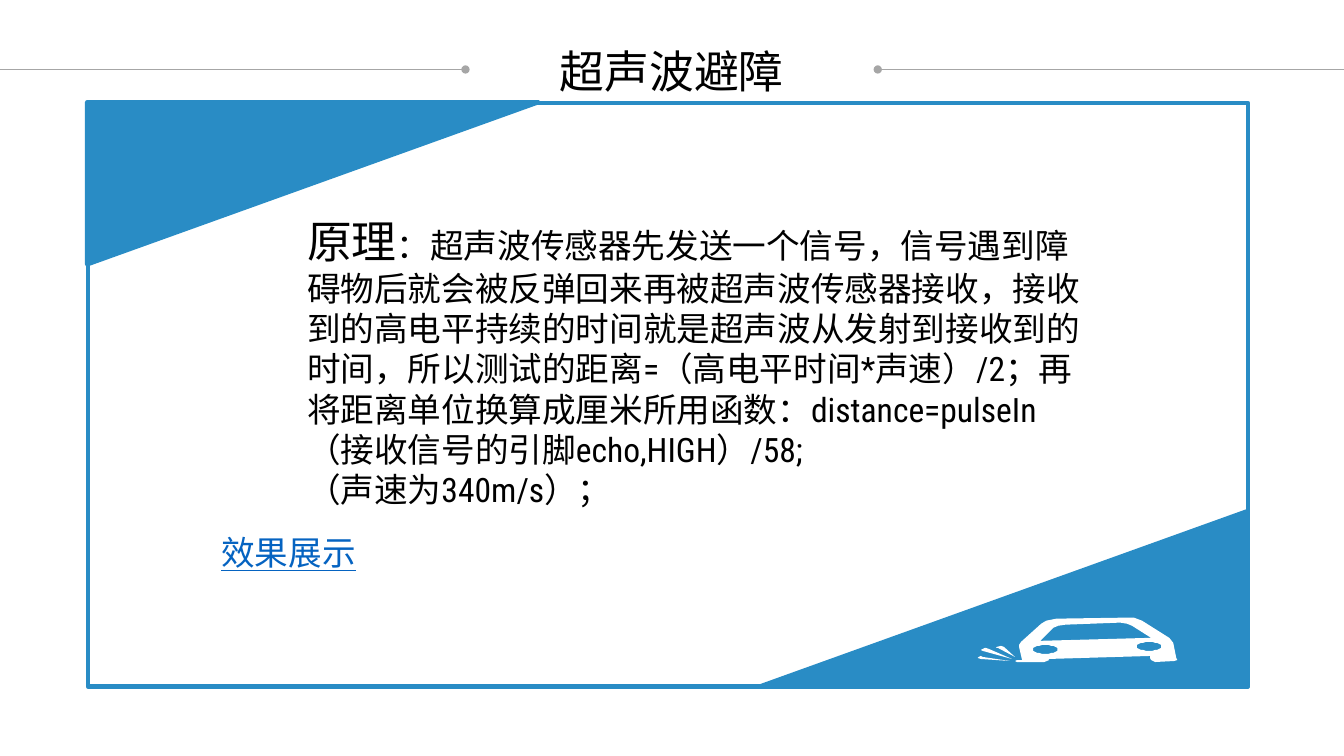
from math import cos, pi, sin

from pptx import Presentation
from pptx.dml.color import RGBColor
from pptx.enum.shapes import MSO_CONNECTOR as CONNECTOR, MSO_SHAPE as SHAPE
from pptx.enum.text import MSO_AUTO_SIZE as AUTO_SIZE, PP_ALIGN as ALIGN
from pptx.oxml.ns import qn
from pptx.util import Cm, Pt
from lxml.etree import SubElement

COLORS = {"blue": "298CC5", "grey": "A6A6A6", "black": "000000", "link": "0563C1", "white": "FFFFFF"}
FONT = "Roboto Condensed"
HEADING, BODY = 32, 24

PRINCIPLE = [
    ("原理", HEADING),
    ("：超声波传感器先发送一个信号，信号遇到障碍物后就会被反弹回来再被超声波传感器接收，"
     "接收到的高电平持续的时间就是超声波从发射到接收到的时间，"
     "所以测试的距离=（高电平时间*声速）/2；再将距离单位换算成厘米所用函数："
     "distance=pulseIn（接收信号的引脚echo,HIGH）/58;\v（声速为340m/s）；", BODY),
]


def ellipse(x, y, radius_x, radius_y, steps=24):
    angles = [2 * pi * step / steps for step in range(steps)]
    return [(x + radius_x * cos(angle), y + radius_y * sin(angle)) for angle in angles]


CAR_BODY = [
    (195, 44), (176, 45), (172, 43), (171, 41), (171, 39), (70, 42), (71, 43), (66, 45),
    (39, 45), (37, 44), (39, 43), (44, 43), (41, 30), (41, 28), (43, 25), (63, 7), (68, 4),
    (78, 2), (145, 1), (155, 1), (163, 4), (190, 21), (194, 26), (197, 41), (198, 43),
]
CAR_WINDOW = [(62, 24), (172, 21), (153, 9), (148, 7), (142, 6), (139, 6), (87, 8), (80, 9), (75, 11)]
CAR_WHEELS = [ellipse(67, 32.5, 12, 4.5), ellipse(170, 29.5, 12, 4.5)]
CAR_STREAKS = [
    [(5, 40), (32, 44), (3, 42), (0, 41), (1, 40), (3, 39)],
    [(37, 40), (26, 30), (23, 29), (19, 30), (18, 31), (20, 31)],
    [(8, 31), (7, 31), (3, 33), (5, 34), (34, 42), (11, 32)],
]


class SlideBuilder:
    """Draws styled elements on the current slide."""

    def __init__(self, page):
        self.page = page

    def color(self, name):
        return RGBColor.from_string(COLORS[name])

    def dotted_line(self, start, end, y, dot):
        line = self.page.shapes.add_connector(CONNECTOR.STRAIGHT, Cm(start), Cm(y), Cm(end), Cm(y))
        line.line.color.rgb = self.color("grey")
        line.line.width = Pt(0.5)
        SubElement(line.line._get_or_add_ln(), qn(f"a:{dot}")).set("type", "oval")
        SubElement(line._element.spPr, qn("a:effectLst"))

    def text(self, place, runs, color="black", align=ALIGN.LEFT, wrap=True, underline=None):
        box = self.page.shapes.add_textbox(*map(Cm, place))
        frame = box.text_frame
        frame.word_wrap = wrap
        frame.auto_size = AUTO_SIZE.SHAPE_TO_FIT_TEXT
        para = frame.paragraphs[0]
        para.alignment = align
        para.font.name = FONT
        para.font.color.rgb = self.color(color)
        para.font.underline = underline
        sizes = {size for _, size in runs}
        if len(sizes) == 1:
            para.font.size = Pt(sizes.pop())
        for words, size in runs:
            for index, part in enumerate(words.split("\v")):
                if index:
                    para.add_line_break()
                span = para.add_run()
                span.text = part
                if para.font.size is None:
                    span.font.size = Pt(size)

    def panel(self, kind, place, filled=True, rotation=0):
        shape = self.page.shapes.add_shape(kind, *map(Cm, place))
        shape.shadow.inherit = False
        shape.rotation = rotation
        if filled:
            shape.fill.solid()
            shape.fill.fore_color.rgb = self.color("blue")
        else:
            shape.fill.background()
        shape.line.color.rgb = self.color("blue")
        shape.line.width = Pt(3)

    def outline(self, contours, left, top):
        (first, *rest), *others = contours
        builder = self.page.shapes.build_freeform(*first, scale=Cm(2.54) / 100)
        builder.add_line_segments(rest)
        for start, *points in others:
            builder.move_to(*start)
            builder.add_line_segments(points)
        shape = builder.convert_to_shape(Cm(left), Cm(top))
        shape.shadow.inherit = False
        shape.fill.solid()
        shape.fill.fore_color.rgb = self.color("white")
        shape.line.fill.background()


def main():
    deck = Presentation()
    deck.slide_width, deck.slide_height = Cm(33.87), Cm(19.05)
    slide = SlideBuilder(deck.slides.add_slide(deck.slide_layouts[6]))

    slide.dotted_line(0, 11.73, 1.75, "tailEnd")
    slide.dotted_line(22.12, 33.87, 1.75, "headEnd")
    slide.text((13.82, 0.97, 6.22, 1.63), [("超声波避障", HEADING)], align=ALIGN.CENTER, wrap=False)
    slide.text((7.49, 5.26, 20.5, 6.76), PRINCIPLE)
    slide.text((5.33, 13.28, 4.06, 1.27), [("效果展示", BODY)], color="link", underline=True)

    slide.panel(SHAPE.RECTANGLE, (2.21, 2.59, 29.24, 14.71), filled=False)
    slide.panel(SHAPE.RIGHT_TRIANGLE, (5.84, -1.07, 4.09, 11.38), rotation=90)
    slide.panel(SHAPE.RIGHT_TRIANGLE, (23.09, 8.94, 4.42, 12.29), rotation=270)
    slide.outline([CAR_BODY, CAR_WINDOW, *CAR_WHEELS, *CAR_STREAKS], 24.64, 15.54)

    deck.save("out.pptx")


if __name__ == "__main__":
    main()
